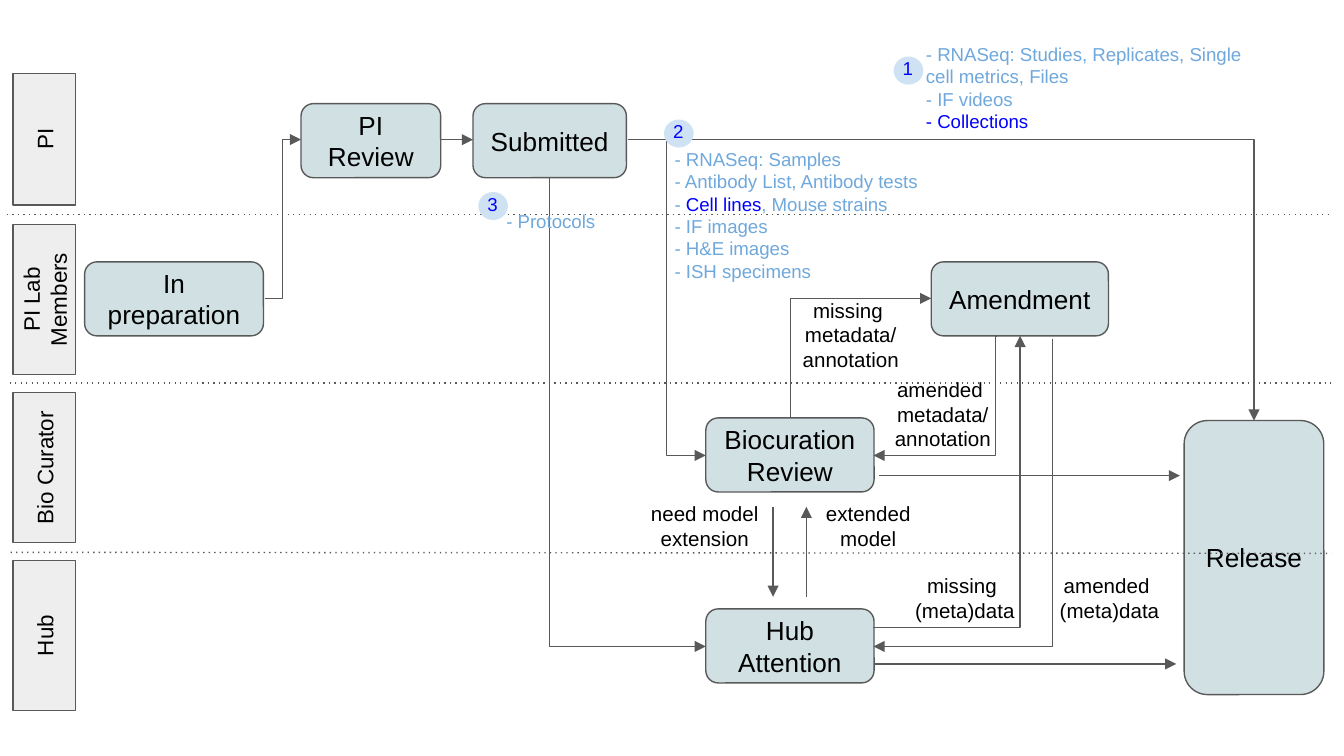
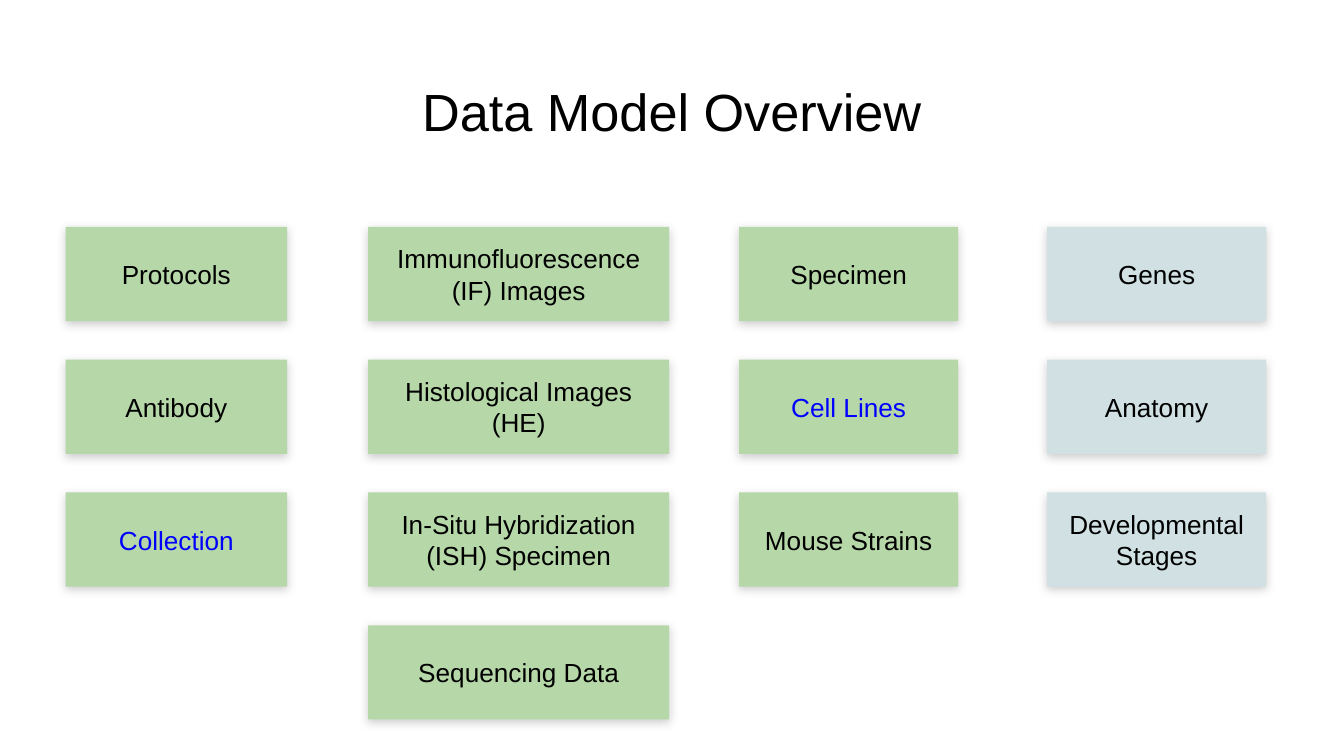
from dataclasses import dataclass

from pptx import Presentation
from pptx.dml.color import RGBColor
from pptx.enum.shapes import MSO_CONNECTOR, MSO_SHAPE
from pptx.enum.text import MSO_ANCHOR, PP_ALIGN
from pptx.oxml.ns import qn
from pptx.util import Cm, Pt
from lxml.etree import SubElement

FONT = "Arial"
BLACK, BLUE, SKY = "000000", "0000FF", "6FA8DC"
GRAY, LANE_FILL, BADGE_FILL = "595959", "EEEEEE", "CFE2F3"
TEAL, GREEN, SHADOW = "D0E0E3", "B6D7A8", "808080"


@dataclass
class Box:
    """A rectangle in centimetres."""
    left: float
    top: float
    width: float
    height: float

    def inner(self, left, top, width, height):
        """Return a box placed relative to this one."""
        return Box(self.left + left, self.top + top, width, height)

    def lengths(self):
        """Return the four lengths that shapes are made with."""
        return [Cm(value) for value in (self.left, self.top, self.width, self.height)]


def color(value):
    """Turn a hex string into a colour."""
    return RGBColor.from_string(value)


def write(shape, paragraphs, size, align=PP_ALIGN.LEFT, anchor=MSO_ANCHOR.TOP, inset=0.25):
    """Fill a shape with paragraphs, each a list of (text, colour) runs."""
    frame = shape.text_frame
    frame.word_wrap = True
    frame.vertical_anchor = anchor
    frame.margin_left = frame.margin_right = Cm(0.25)
    frame.margin_top = frame.margin_bottom = Cm(inset)
    for index, runs in enumerate(paragraphs):
        paragraph = frame.add_paragraph() if index else frame.paragraphs[0]
        paragraph.alignment = align
        for text, ink in runs:
            run = paragraph.add_run()
            run.text = text
            run.font.name = FONT
            run.font.size = Pt(size)
            run.font.color.rgb = color(ink)


def add_text(shapes, box, paragraphs, size, align=PP_ALIGN.LEFT):
    """Add a text box."""
    write(shapes.add_textbox(*box.lengths()), paragraphs, size, align)


def add_box(shapes, kind, box, fill, line=None):
    """Add a filled shape with an optional outline."""
    shape = shapes.add_shape(kind, *box.lengths())
    shape.shadow.inherit = False
    shape.fill.solid()
    shape.fill.fore_color.rgb = color(fill)
    if line:
        shape.line.color.rgb = color(line)
        shape.line.width = Pt(0.75)
    else:
        shape.line.fill.background()
    return shape


def add_labelled(shapes, kind, box, fill, text, size, ink=BLACK, line=None, inset=0.25):
    """Add a shape with one centred label."""
    shape = add_box(shapes, kind, box, fill, line)
    write(shape, [[(text, ink)]], size, PP_ALIGN.CENTER, MSO_ANCHOR.MIDDLE, inset)
    return shape


def add_line(shapes, kind, start, end, arrow=True):
    """Add a gray connector, either an arrow or a dotted line."""
    connector = shapes.add_connector(kind, *[Cm(value) for value in (*start, *end)])
    connector.line.color.rgb = color(GRAY)
    connector.line.width = Pt(0.75)
    line = connector.line._get_or_add_ln()
    if arrow:
        SubElement(line, qn("a:tailEnd"), type="triangle")
    else:
        SubElement(line, qn("a:prstDash"), val="dot")
    SubElement(connector._element.spPr, qn("a:effectLst"))
    return connector


def add_elbow(shapes, start, end, preset="bentConnector3", rotation=0, flip=False, turn=0.5):
    """Add an elbow arrow, turned about its middle when rotated."""
    if rotation:
        middle = [(first + last) / 2 for first, last in zip(start, end)]
        half_width = abs(end[1] - start[1]) / 2 * (-1 if flip else 1)
        half_height = abs(end[0] - start[0]) / 2
        start = (middle[0] - half_width, middle[1] - half_height)
        end = (middle[0] + half_width, middle[1] + half_height)
    connector = add_line(shapes, MSO_CONNECTOR.ELBOW, start, end)
    properties = connector._element.spPr
    if rotation:
        properties.find(qn("a:xfrm")).set("rot", str(rotation * 60000))
    geometry = properties.find(qn("a:prstGeom"))
    geometry.set("prst", preset)
    if preset == "bentConnector3":
        guides = geometry.get_or_add_avLst()
        SubElement(guides, qn("a:gd"), name="adj1", fmla=f"val {round(turn * 100000)}")


def add_states(slide, box):
    """Draw the rounded boxes of the workflow."""
    states = [
        ("In preparation", 1.6, 4.95, 3.38, 1.4),
        ("PI Review", 5.69, 1.96, 2.64, 1.4),
        ("Submitted", 8.94, 1.96, 2.9, 1.4),
        ("Biocuration Review", 13.34, 7.9, 3.18, 1.4),
        ("Amendment", 17.6, 4.95, 3.35, 1.4),
        ("Release", 22.38, 7.95, 2.64, 5.18),
        ("Hub Attention", 13.34, 11.51, 3.18, 1.4),
    ]
    for text, *place in states:
        add_labelled(slide.shapes, MSO_SHAPE.ROUNDED_RECTANGLE, box.inner(*place),
                     TEAL, text, 14, line=GRAY)


def add_lanes(slide, box):
    """Draw the dotted lane borders and the upright lane names."""
    for left, start, end in [(0.13, 4.06, 4.06), (0.18, 7.24, 7.24), (0.2, 10.44, 10.46)]:
        add_line(slide.shapes, MSO_CONNECTOR.STRAIGHT, (box.left + left, box.top + start),
                 (box.left + 25.16, box.top + end), arrow=False)
    thickness, center = 1.18, 0.84
    lanes = [("PI", 2.63, 2.49), ("PI Lab Members", 5.66, 2.84),
             ("Bio Curator", 8.84, 2.84), ("Hub", 12.01, 2.84)]
    for text, middle, length in lanes:
        place = box.inner(center - length / 2, middle - thickness / 2, length, thickness)
        lane = add_labelled(slide.shapes, MSO_SHAPE.RECTANGLE, place,
                            LANE_FILL, text, 12, line=GRAY)
        lane.rotation = 270


def add_arrows(slide, box):
    """Draw the transitions between the states."""
    def at(point):
        """Move a point into the box."""
        return box.left + point[0], box.top + point[1]

    straight = [
        ((8.33, 2.64), (8.94, 2.64)),
        ((14.61, 9.58), (14.61, 11.28)),
        ((15.24, 11.28), (15.24, 9.58)),
        ((16.61, 8.99), (22.3, 8.99)),
        ((16.51, 12.55), (22.23, 12.55)),
    ]
    corner = "bentConnector2"
    elbows = [
        ((5, 5.64), (5.69, 2.64), {}),
        ((11.86, 2.64), (13.34, 8.61), {}),
        ((10.39, 3.35), (13.34, 12.22), dict(preset=corner, rotation=270, flip=True)),
        ((11.86, 2.64), (23.7, 7.95), dict(preset=corner)),
        ((14.94, 7.9), (17.6, 5.64), dict(preset=corner, rotation=270)),
        ((18.85, 6.35), (16.51, 8.61), dict(turn=0.014)),
        ((16.51, 11.86), (19.28, 6.35), dict(rotation=270, turn=-0.001)),
        ((19.89, 6.4), (16.51, 12.22), dict(preset=corner, rotation=90)),
    ]
    for start, end in straight:
        add_line(slide.shapes, MSO_CONNECTOR.STRAIGHT, at(start), at(end))
    for start, end, options in elbows:
        add_elbow(slide.shapes, at(start), at(end), **options)


def add_captions(slide, box):
    """Write the labels beside the arrows."""
    captions = [
        (14.81, 5.38, 2.54, ["missing ", "metadata/ annotation"]),
        (16.51, 6.88, 2.62, ["amended ", "metadata/ annotation"]),
        (11.63, 9.22, 3.38, ["need model extension"]),
        (15.04, 9.22, 2.74, ["extended model"]),
        (16.71, 10.59, 3.05, ["missing ", "(meta)data"]),
        (19.66, 10.59, 2.62, ["amended ", "(meta)data"]),
    ]
    for left, top, width, lines in captions:
        add_text(slide.shapes, box.inner(left, top, width, 1.37),
                 [[(line, BLACK)] for line in lines], 11, PP_ALIGN.CENTER)


def add_data_lists(slide, box):
    """Write the lists of data types that follow each route."""
    lists = [
        (12.5, 2.54, 5.87, 3.18, [
            [("- RNASeq: Samples", SKY)],
            [("- Antibody List, Antibody tests", SKY)],
            [("- ", SKY), ("Cell lines", BLUE), (", Mouse strains", SKY)],
            [("- IF images", SKY)],
            [("- H&E images", SKY)],
            [("- ISH specimens", SKY)],
        ]),
        (17.25, 0.56, 6.86, 2.01, [
            [("- RNASeq: Studies, Replicates, Single cell metrics, Files", SKY)],
            [("- IF videos", SKY)],
            [("- Collections", BLUE)],
        ]),
        (9.32, 3.76, 4.01, 2.01, [[("- Protocols", SKY)]]),
    ]
    for *place, paragraphs in lists:
        add_text(slide.shapes, box.inner(*place), paragraphs, 10)


def add_badges(slide, box):
    """Draw the numbered circles as groups."""
    for number, left, top in [("1", 16.89, 1.07), ("2", 12.55, 2.26), ("3", 9.04, 3.63)]:
        shapes = slide.shapes.add_group_shape().shapes
        add_box(shapes, MSO_SHAPE.OVAL, box.inner(left, top, 0.56, 0.53), BADGE_FILL)
        add_text(shapes, box.inner(left - 0.08, top - 0.2, 0.81, 0.97), [[(number, BLUE)]], 10)


def add_soft_shadow(shape):
    """Give a shape a soft shadow below it."""
    effects = shape._element.spPr.find(qn("a:effectLst"))
    shadow = SubElement(effects, qn("a:outerShdw"), blurRad=str(Pt(5)), dist=str(Pt(1.6)),
                        dir="5400000", rotWithShape="0")
    tint = SubElement(shadow, qn("a:srgbClr"), val=SHADOW)
    SubElement(tint, qn("a:alpha"), val="38000")


def add_model_grid(slide, box):
    """Draw the entities of the data model in columns."""
    columns = [
        (0, 4.19, GREEN, ["Protocols", "Antibody", "Collection"]),
        (5.72, 5.69, GREEN, ["Immunofluorescence (IF) Images", "Histological Images (HE)",
                             "In-Situ Hybridization (ISH) Specimen", "Sequencing Data"]),
        (12.73, 4.14, GREEN, ["Specimen", "Cell Lines", "Mouse Strains"]),
        (18.55, 4.14, TEAL, ["Genes", "Anatomy", "Developmental Stages"]),
    ]
    height = 1.78
    pitch = (box.height - height) / 3
    for left, width, fill, names in columns:
        for row, name in enumerate(names):
            ink = BLUE if name in ("Collection", "Cell Lines") else BLACK
            entity = add_labelled(slide.shapes, MSO_SHAPE.RECTANGLE,
                                  box.inner(left, row * pitch, width, height),
                                  fill, name, 14, ink, inset=0.13)
            add_soft_shadow(entity)


def main():
    """Build both slides and save them."""
    presentation = Presentation()
    presentation.slide_width, presentation.slide_height = Cm(25.4), Cm(14.29)
    blank = presentation.slide_layouts[6]

    workflow = presentation.slides.add_slide(blank)
    page = Box(0, 0, 25.4, 14.29)
    for draw in (add_states, add_lanes, add_arrows, add_captions, add_data_lists, add_badges):
        draw(workflow, page)

    overview = presentation.slides.add_slide(blank)
    add_text(overview.shapes, Box(0.86, 1.24, 23.67, 1.6),
             [[("Data Model Overview", BLACK)]], 28, PP_ALIGN.CENTER)
    add_model_grid(overview, Box(1.24, 4.29, 22.69, 9.31))

    presentation.save("out.pptx")


if __name__ == "__main__":
    main()
